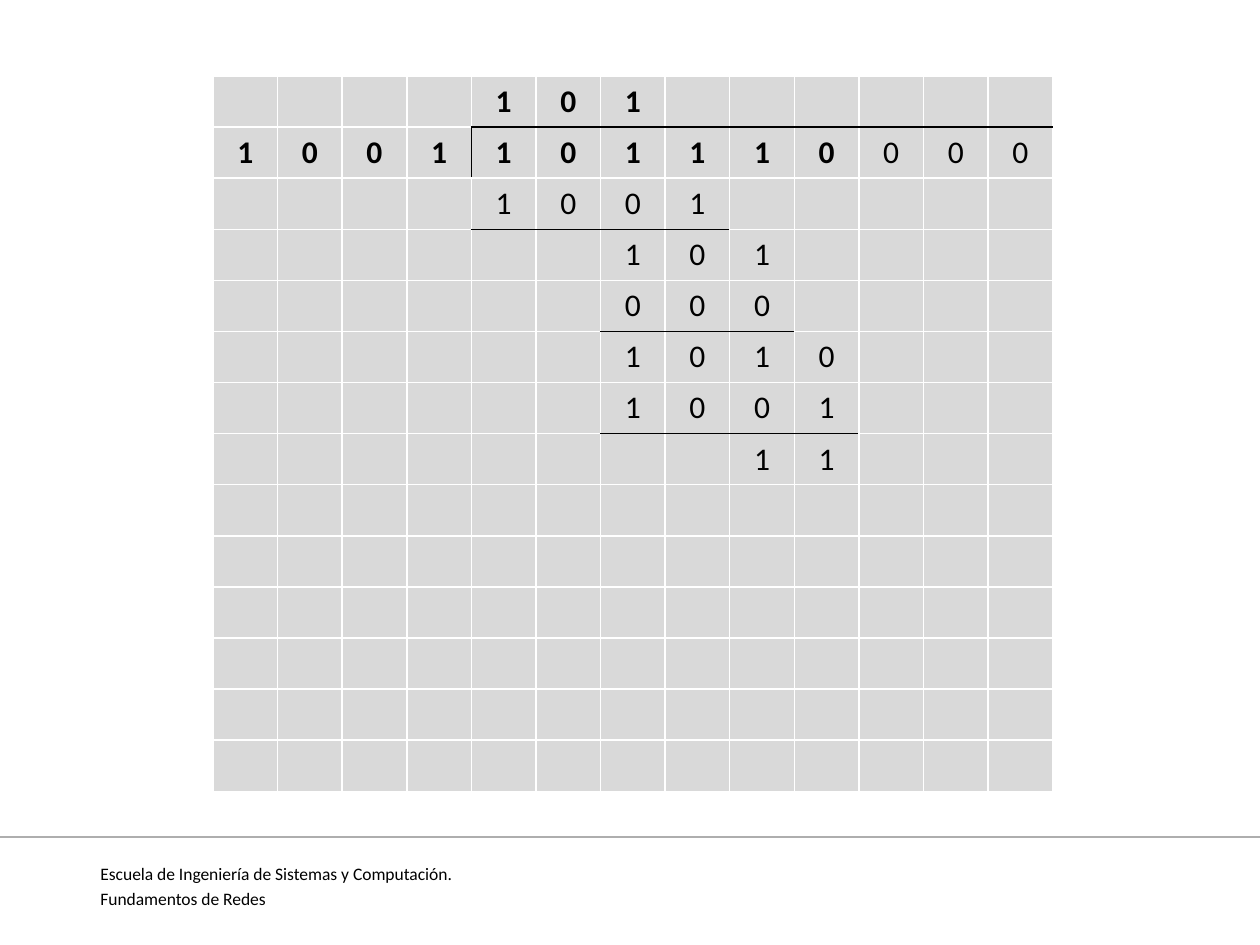
from lxml import etree
from pptx import Presentation
from pptx.dml.color import RGBColor
from pptx.enum.shapes import MSO_CONNECTOR
from pptx.enum.text import MSO_ANCHOR, PP_ALIGN
from pptx.oxml.ns import qn
from pptx.util import Pt

LINE = MSO_CONNECTOR.STRAIGHT
MIDDLE = MSO_ANCHOR.MIDDLE
CENTER, JUSTIFY = PP_ALIGN.CENTER, PP_ALIGN.JUSTIFY

DIGITS = [
    "    101      ",
    "1001101110000",
    "    1001     ",
    "      101    ",
    "      000    ",
    "      1010   ",
    "      1001   ",
    "        11   ",
]
ROWS, COLS = 14, 13
BOLD = {0: COLS, 1: 10}
BARS = {0: (4, 12), 2: (4, 7), 4: (6, 8), 6: (6, 9)}
CORNER = (1, 4)
FOOTER = ["Escuela de Ingeniería de Sistemas y Computación.", "Fundamentos de Redes"]
THEME = {
    "font": "Calibri", "ink": "000000", "cell": "D9D9D9", "grid": "FFFFFF",
    "rule": "AEAEAE", "digit": 18, "foot": 10, "gap": 2, "edge": 1, "thin": 0.75,
}
GRID = (213, 76, 840, 716)
FOOT = (88, 857, 1131, 49)
RULE_Y = 837
WIDTH, HEIGHT = 1260, 945
SCALE = 914400 // 126


def px(*nums):
    return [n * SCALE for n in nums]


def color(name):
    return RGBColor.from_string(THEME[name])


def style(para, size, align, bold=False):
    para.alignment = align
    for run in para.runs:
        run.font.name = THEME["font"]
        run.font.size = Pt(THEME[size])
        run.font.bold = bold
        run.font.color.rgb = color("ink")


def barred(row, col):
    first, last = BARS.get(row, (COLS, -1))
    return first <= col <= last


def edges(row, col):
    return {
        "lnL": (row, col) == CORNER,
        "lnR": (row, col + 1) == CORNER,
        "lnT": barred(row - 1, col),
        "lnB": barred(row, col),
    }


def border(cell, sides):
    props = cell._tc.get_or_add_tcPr()
    for tag, dark in sides.items():
        line = etree.SubElement(props, qn("a:" + tag), w=str(Pt(THEME["edge"])))
        fill = etree.SubElement(line, qn("a:solidFill"))
        tone = THEME["ink" if dark else "grid"]
        etree.SubElement(fill, qn("a:srgbClr"), val=tone)


def add_grid(slide):
    table = slide.shapes.add_table(ROWS, COLS, *px(*GRID)).table
    table.first_row = table.horz_banding = False
    wide, tall = px(*GRID[2:])
    for col in table.columns:
        col.width = wide // COLS
    for row in table.rows:
        row.height = tall // ROWS
    for r in range(ROWS):
        text = DIGITS[r] if r < len(DIGITS) else " " * COLS
        for c, digit in enumerate(text):
            cell = table.cell(r, c)
            cell.vertical_anchor = MIDDLE
            border(cell, edges(r, c))
            cell.fill.solid()
            cell.fill.fore_color.rgb = color("cell")
            cell.text_frame.text = digit.strip()
            style(cell.text_frame.paragraphs[0], "digit", CENTER, c < BOLD.get(r, 0))


def add_foot(slide):
    rule = slide.shapes.add_connector(LINE, *px(0, RULE_Y, WIDTH, RULE_Y))
    rule.line.color.rgb = color("rule")
    rule.line.width = Pt(THEME["thin"])
    etree.SubElement(rule._element.spPr, qn("a:effectLst"))
    frame = slide.shapes.add_textbox(*px(*FOOT)).text_frame
    frame.word_wrap = True
    frame.text = "\n".join(FOOTER)
    for i, para in enumerate(frame.paragraphs):
        style(para, "foot", JUSTIFY)
        para.space_before = Pt(THEME["gap"] if i else 0)


def main():
    deck = Presentation()
    deck.slide_width, deck.slide_height = px(WIDTH, HEIGHT)
    slide = deck.slides.add_slide(deck.slide_layouts[6])
    add_foot(slide)
    add_grid(slide)
    deck.save("out.pptx")


if __name__ == "__main__":
    main()
